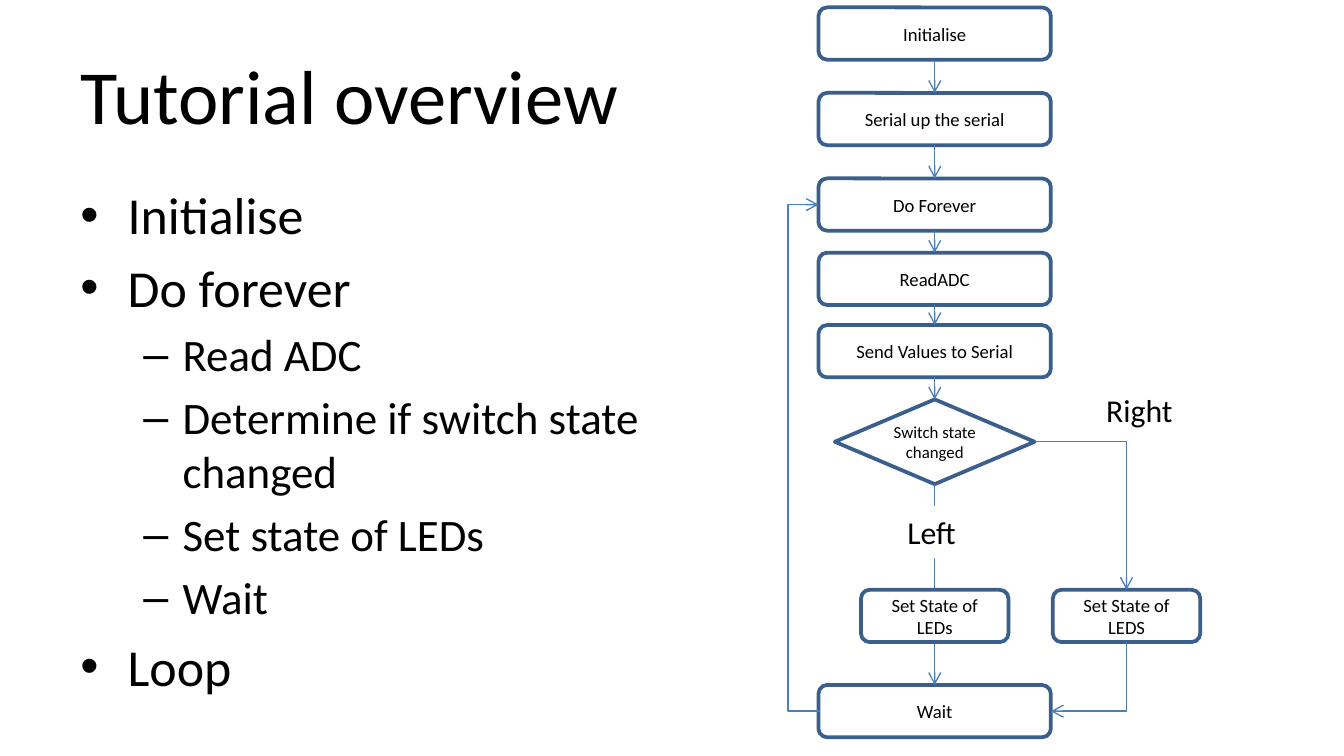
import pptx
import pptx.dml.color
import pptx.enum.shapes
import pptx.enum.text
import pptx.oxml
import pptx.oxml.ns
import pptx.util
from lxml import etree

Pt = pptx.util.Pt
SHAPES = pptx.enum.shapes.MSO_SHAPE
CONNECTORS = pptx.enum.shapes.MSO_CONNECTOR
ALIGN = pptx.enum.text.PP_ALIGN
ANCHOR = pptx.enum.text.MSO_ANCHOR
FONT = "Calibri"
BLACK, WHITE, OUTLINE, ARROW = "000000", "FFFFFF", "3A5F8C", "4B7EBC"
TOP, BOTTOM = 0, 2
OUTLINE_ITEMS = [
    (0, "Initialise"),
    (0, "Do forever"),
    (1, "Read ADC"),
    (1, "Determine if switch state changed"),
    (1, "Set state of LEDs"),
    (1, "Wait"),
    (0, "Loop"),
]
LEVELS = [(27.8, "•", 25.3, -25.3), (24.1, "–", 54.7, -21)]
STEPS = [
    ("Initialise", 0),
    ("Serial up the serial", 45.8),
    ("Do Forever", 91.6),
    ("ReadADC", 131.4),
    ("Send Values to Serial", 170.2),
]


def color(value):
    return pptx.dml.color.RGBColor.from_string(value)


def add_element(parent, tag, **attributes):
    element = etree.SubElement(parent, pptx.oxml.ns.qn(tag))
    for name, value in attributes.items():
        element.set(name, str(value))
    return element


def format_paragraph(paragraph, size, alignment):
    paragraph.alignment = alignment
    for run in paragraph.runs:
        run.font.name = FONT
        run.font.size = Pt(size)
        run.font.color.rgb = color(BLACK)


def place_title(slide, left, top, width, height):
    title = slide.shapes.title
    title.left, title.top, title.width, title.height = map(Pt, (left, top, width, height))
    title.text_frame.text = "Tutorial overview"
    title.text_frame.vertical_anchor = ANCHOR.MIDDLE
    format_paragraph(title.text_frame.paragraphs[0], 41, ALIGN.LEFT)


def add_outline(slide, left, top, width, height):
    frame = slide.shapes.add_textbox(Pt(left), Pt(top), Pt(width), Pt(height)).text_frame
    frame.word_wrap = True
    for index, (level, text) in enumerate(OUTLINE_ITEMS):
        paragraph = frame.add_paragraph() if index else frame.paragraphs[0]
        size, bullet, margin, indent = LEVELS[level]
        paragraph.text = text
        paragraph.level = level
        paragraph.space_before = Pt(size * 0.2)
        format_paragraph(paragraph, size, ALIGN.LEFT)
        properties = paragraph._p.get_or_add_pPr()
        properties.set("marL", str(Pt(margin)))
        properties.set("indent", str(Pt(indent)))
        add_element(properties, "a:buFont", typeface="Arial")
        add_element(properties, "a:buChar", char=bullet)


def add_node(slide, text, center, top, width, height=28,
             kind=SHAPES.FLOWCHART_ALTERNATE_PROCESS, size=10):
    shape = slide.shapes.add_shape(kind, Pt(center - width / 2), Pt(top), Pt(width), Pt(height))
    shape.shadow.inherit = False
    shape.fill.solid()
    shape.fill.fore_color.rgb = color(WHITE)
    shape.line.color.rgb = color(OUTLINE)
    shape.line.width = Pt(2)
    frame = shape.text_frame
    frame.text = text
    frame.word_wrap = True
    frame.vertical_anchor = ANCHOR.MIDDLE
    format_paragraph(frame.paragraphs[0], size, ALIGN.CENTER)
    return shape


def add_label(slide, text, left, top, width):
    label = add_node(slide, text, left + width / 2, top, width, size=17)
    label.auto_shape_type
    label.line.fill.background()


def add_branch_label(slide, text, left, top, width):
    label = slide.shapes.add_textbox(Pt(left), Pt(top), Pt(width), Pt(28))
    label.fill.solid()
    label.fill.fore_color.rgb = color(WHITE)
    label.text_frame.text = text
    label.text_frame.word_wrap = False
    format_paragraph(label.text_frame.paragraphs[0], 17, ALIGN.LEFT)


def style_arrow(connector):
    connector.line.color.rgb = color(ARROW)
    connector.line.width = Pt(0.75)
    add_element(connector.line._get_or_add_ln(), "a:tailEnd", type="arrow")
    add_element(connector._element.spPr, "a:effectLst")


def join_down(slide, upper, lower):
    connector = slide.shapes.add_connector(CONNECTORS.STRAIGHT, 0, 0, 0, 0)
    connector.begin_connect(upper, BOTTOM)
    connector.end_connect(lower, TOP)
    style_arrow(connector)


def add_elbow(slide, left, top, width, height, preset, rotation=0, bend=None):
    connector = slide.shapes.add_connector(
        CONNECTORS.ELBOW, Pt(left), Pt(top), Pt(left + width), Pt(top + height))
    properties = connector._element.spPr
    properties.find(pptx.oxml.ns.qn("a:xfrm")).set("rot", str(rotation * 60000))
    geometry = properties.find(pptx.oxml.ns.qn("a:prstGeom"))
    geometry.set("prst", preset)
    if bend is not None:
        guides = geometry.find(pptx.oxml.ns.qn("a:avLst"))
        add_element(guides, "a:gd", name="adj1", fmla=f"val {round(bend * 100000)}")
    style_arrow(connector)


def add_flowchart(slide, left, top):
    center, right_center, node_width = left + 78.75, left + 181.5, 124.5
    nodes = [add_node(slide, text, center, top + offset, node_width) for text, offset in STEPS]
    decision = add_node(slide, "Switch state changed", center, top + 210, 107, 45.4,
                        SHAPES.FLOWCHART_DECISION, 9)
    frame = decision.text_frame
    frame.margin_left = frame.margin_right = frame.margin_top = frame.margin_bottom = 0
    wait = add_node(slide, "Wait", center, top + 363, node_width)
    nodes += [decision, wait]
    for upper, lower in zip(nodes, nodes[1:]):
        join_down(slide, upper, lower)

    led_top = top + 312
    add_node(slide, "Set State of LEDs", center, led_top, 79)
    add_node(slide, "Set State of LEDS", right_center, led_top, 79)
    add_branch_label(slide, "Left", left + 57, top + 267, 41)
    add_branch_label(slide, "Right", left + 163.5, top + 202, 50)

    decision_right, decision_middle = center + 53.5, top + 232.7
    add_elbow(slide, decision_right, decision_middle, right_center - decision_right,
              led_top - decision_middle, "bentConnector2")

    node_left, node_right = center - node_width / 2, center + node_width / 2
    wait_middle, loop_middle = top + 377, top + 105.6
    drop, reach = wait_middle - led_top - 28, right_center - node_right
    add_elbow(slide, (node_right + right_center - drop) / 2,
              wait_middle - (drop + reach) / 2, drop, reach, "bentConnector2", 90)
    add_elbow(slide, node_left, loop_middle, 1, wait_middle - loop_middle,
              "bentConnector3", 180, node_left + 1 - left)


def main():
    presentation = pptx.Presentation()
    presentation.slide_width = Pt(720)
    presentation.slide_height = Pt(405)
    slide = presentation.slides.add_slide(presentation.slide_layouts[5])
    place_title(slide, 36, 16.5, 648, 67.5)
    add_outline(slide, 36, 94.5, 375, 267)
    add_flowchart(slide, 422, 4)
    presentation.save("out.pptx")


if __name__ == "__main__":
    main()
